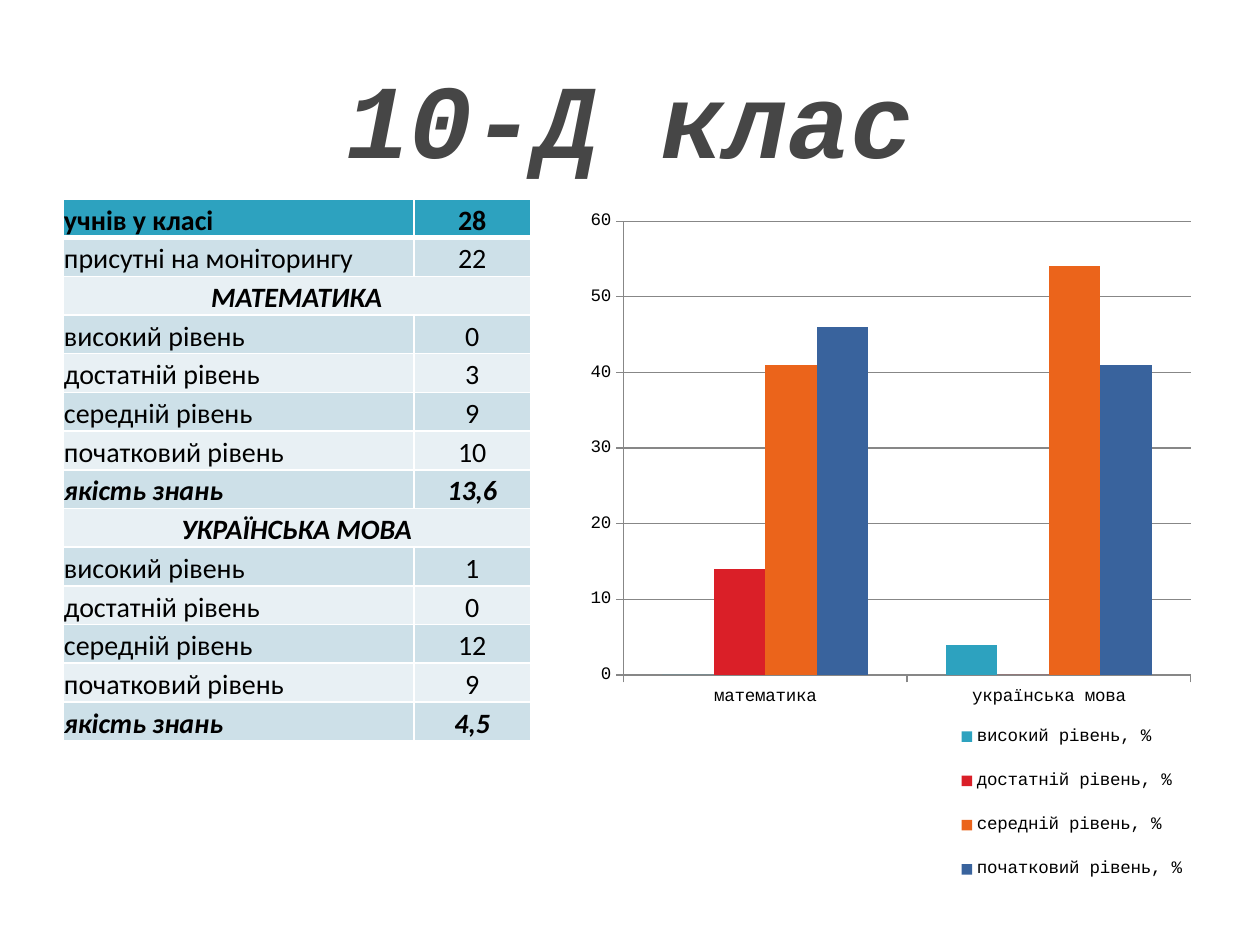
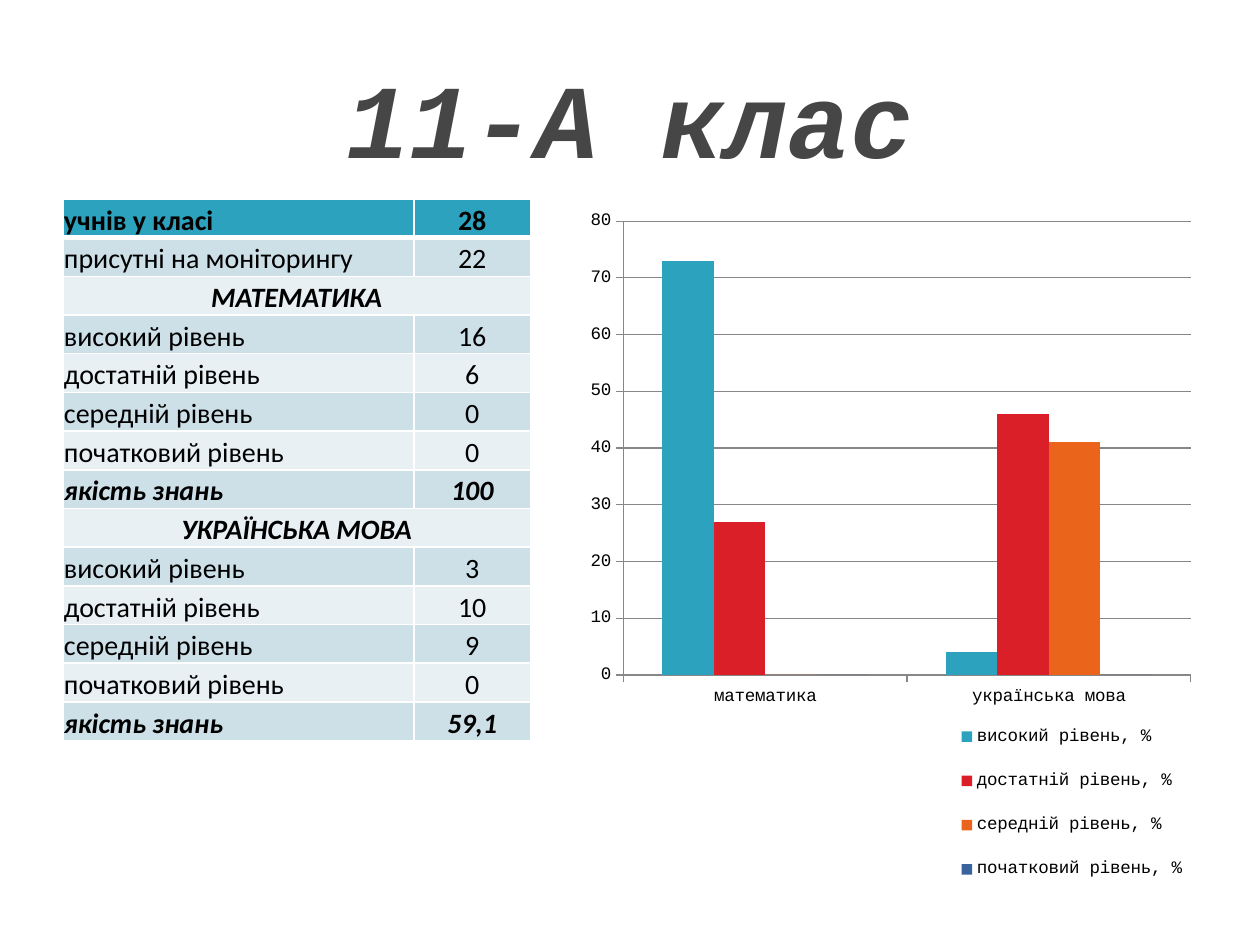
"""Build two slides of class monitoring results, each with a table and a column chart."""
from lxml.etree import SubElement
from pptx import Presentation
from pptx.chart.data import CategoryChartData
from pptx.dml.color import RGBColor
from pptx.enum.chart import XL_CHART_TYPE as ChartType, XL_LEGEND_POSITION as LegendPosition
from pptx.enum.chart import XL_TICK_MARK as TickMark
from pptx.enum.text import MSO_ANCHOR as Anchor, PP_ALIGN as Align
from pptx.oxml import parse_xml
from pptx.oxml.ns import nsdecls, qn
from pptx.util import Cm, Pt

LEVELS = ["високий рівень", "достатній рівень", "середній рівень", "початковий рівень"]
SUBJECTS = ["математика", "українська мова"]
QUALITY = "якість знань"

CLASSES = [
    {
        "title": "10-Д клас",
        "pupils": 28,
        "present": 22,
        "counts": [(0, 3, 9, 10), (1, 0, 12, 9)],
        "quality": ["13,6", "4,5"],
        "percents": [(0, 4), (14, 0), (41, 54), (46, 41)],
        "axis_top": 60,
    },
    {
        "title": "11-А клас",
        "pupils": 28,
        "present": 22,
        "counts": [(16, 6, 0, 0), (3, 10, 9, 0)],
        "quality": ["100", "59,1"],
        "percents": [(73, 4), (27, 46), (0, 41), (0, 0)],
        "axis_top": 80,
    },
]

WHITE = RGBColor(0xFF, 0xFF, 0xFF)
BLACK = RGBColor(0, 0, 0)
TITLE_GREY = RGBColor(0x46, 0x46, 0x46)
GRID_GREY = RGBColor(0x87, 0x87, 0x87)
TEAL = RGBColor(0x2D, 0xA2, 0xBF)
RED = RGBColor(0xDA, 0x1F, 0x28)
ORANGE = RGBColor(0xEB, 0x64, 0x1B)
BLUE = RGBColor(0x39, 0x63, 0x9D)
BANDS = [RGBColor(0xE8, 0xF0, 0xF4), RGBColor(0xCD, 0xE0, 0xE8)]
LEVEL_COLOURS = [TEAL, RED, ORANGE, BLUE]

MONO, SANS = "Courier New", "Calibri"
LEFT, CONTENT_TOP = Cm(1.27), Cm(4.01)
COLUMN_WIDTHS = [Cm(7.08), Cm(2.34)]
ROW_HEIGHT = Cm(0.78)
PLOT_AREA = (0.084, 0.031, 0.906, 0.631)
LEGEND_AREA = (0.61, 0.7, 0.38, 0.28)


def add_run(paragraph, text, font_name, size, colour, bold, italic):
    run = paragraph.add_run()
    run.text = str(text)
    font = run.font
    font.name, font.size, font.bold, font.italic = font_name, Pt(size), bold, italic
    font.color.rgb = colour


def add_title(slide, title):
    frame = slide.shapes.add_textbox(LEFT, Cm(0.76), Cm(22.86), Cm(3.18)).text_frame
    frame.word_wrap = True
    frame.vertical_anchor = Anchor.MIDDLE
    paragraph = frame.paragraphs[0]
    paragraph.alignment = Align.CENTER
    add_run(paragraph, title, MONO, 60, TITLE_GREY, True, True)


def table_rows(group):
    """Return (cell texts, bold, italic) for each row."""
    rows = [
        (("учнів у класі", group["pupils"]), True, False),
        (("присутні на моніторингу", group["present"]), False, False),
    ]
    for subject, counts, quality in zip(SUBJECTS, group["counts"], group["quality"]):
        rows.append(((subject.upper(),), True, True))
        rows += [(pair, False, False) for pair in zip(LEVELS, counts)]
        rows.append(((QUALITY, quality), True, True))
    return rows


def set_borders(cell, row):
    widths = {"L": 1, "R": 1, "T": 3 if row == 1 else 1, "B": 3 if row == 0 else 1}
    properties = cell._tc.get_or_add_tcPr()
    for place, (side, width) in enumerate(widths.items()):
        properties.insert(place, parse_xml(
            f'<a:ln{side} {nsdecls("a")} w="{Pt(width)}"><a:solidFill>'
            f'<a:srgbClr val="{WHITE}"/></a:solidFill></a:ln{side}>'))


def add_results_table(slide, group):
    rows = table_rows(group)
    table = slide.shapes.add_table(len(rows), 2, LEFT, CONTENT_TOP, sum(COLUMN_WIDTHS),
                                   ROW_HEIGHT * len(rows)).table
    for column, width in zip(table.columns, COLUMN_WIDTHS):
        column.width = width
    for row, (texts, bold, italic) in enumerate(rows):
        table.rows[row].height = ROW_HEIGHT
        is_section = len(texts) == 1
        for column in range(2):
            cell = table.cell(row, column)
            cell.fill.solid()
            cell.fill.fore_color.rgb = BANDS[row % 2] if row else TEAL
            cell.margin_left = cell.margin_right = cell.margin_top = Cm(0.02)
            cell.margin_bottom = 0
            cell.vertical_anchor = Anchor.BOTTOM
            set_borders(cell, row)
            if column < len(texts):
                paragraph = cell.text_frame.paragraphs[0]
                paragraph.alignment = Align.CENTER if column or is_section else Align.LEFT
                add_run(paragraph, texts[column], SANS, 16, BLACK, bold, italic)
        if is_section:
            table.cell(row, 0).merge(table.cell(row, 1))


def set_layout(parent, area, inner=False):
    for old in parent.findall(qn("c:layout")):
        parent.remove(old)
    layout = parse_xml(f'<c:layout {nsdecls("c")}/>')
    manual = SubElement(layout, qn("c:manualLayout"))
    settings = [("layoutTarget", "inner")] if inner else []
    settings += [("xMode", "edge"), ("yMode", "edge"), *zip("xywh", area)]
    for tag, value in settings:
        SubElement(manual, qn(f"c:{tag}")).set("val", str(value))
    if inner:
        parent.insert(0, layout)
    else:
        parent.find(qn("c:legendPos")).addnext(layout)


def add_levels_chart(slide, group):
    data = CategoryChartData()
    data.categories = SUBJECTS
    for level, percents in zip(LEVELS, group["percents"]):
        data.add_series(f"{level}, %", percents)
    chart = slide.shapes.add_chart(ChartType.COLUMN_CLUSTERED, Cm(11.51), CONTENT_TOP,
                                   Cm(12.62), Cm(14.5), data).chart
    chart.has_title = False
    chart.font.name, chart.font.size = MONO, Pt(10)
    chart.font.color.rgb = BLACK
    plot = chart.plots[0]
    plot.gap_width, plot.overlap, plot.vary_by_categories = 150, 0, False
    for series, colour in zip(plot.series, LEVEL_COLOURS):
        series.format.fill.solid()
        series.format.fill.fore_color.rgb = colour
    percent_axis = chart.value_axis
    percent_axis.minimum_scale, percent_axis.maximum_scale = 0, group["axis_top"]
    percent_axis.major_unit = 10
    percent_axis.has_major_gridlines = True
    for axis in (percent_axis, chart.category_axis):
        axis.major_tick_mark = TickMark.OUTSIDE
        axis.minor_tick_mark = TickMark.NONE
    for ruled in (percent_axis, chart.category_axis, percent_axis.major_gridlines):
        ruled.format.line.color.rgb = GRID_GREY
        ruled.format.line.width = Pt(0.75)
    chart.has_legend = True
    chart.legend.position = LegendPosition.RIGHT
    chart.legend.include_in_layout = False
    set_layout(chart.legend._element, LEGEND_AREA)
    set_layout(chart._chartSpace.chart.plotArea, PLOT_AREA, inner=True)


def main():
    deck = Presentation()
    deck.slide_width, deck.slide_height = Cm(25.4), Cm(19.05)
    for group in CLASSES:
        slide = deck.slides.add_slide(deck.slide_layouts[6])
        add_title(slide, group["title"])
        add_results_table(slide, group)
        add_levels_chart(slide, group)
    deck.save("out.pptx")


if __name__ == "__main__":
    main()
